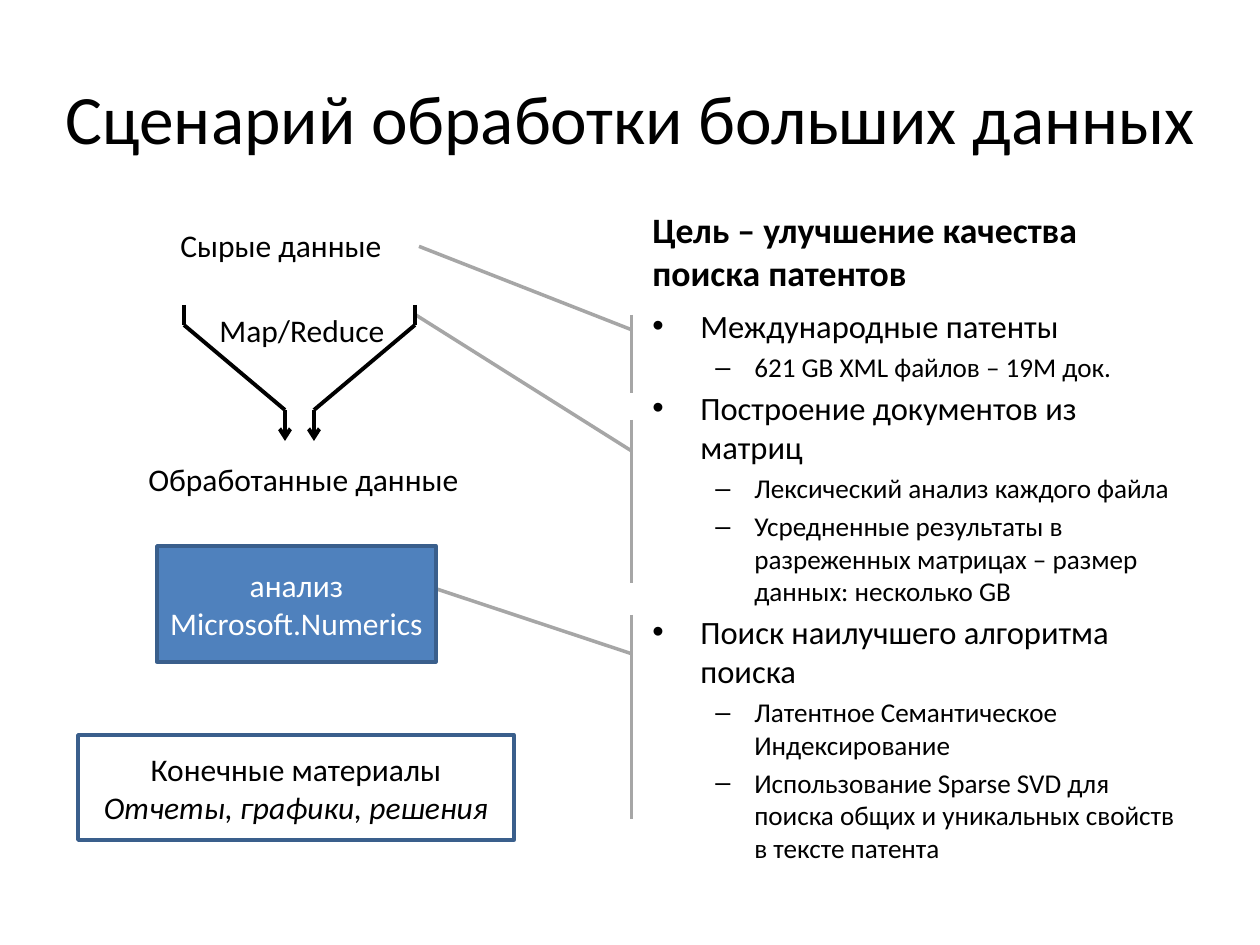
import dataclasses
import itertools
from typing import NamedTuple, Optional

import lxml.etree
import pptx
import pptx.dml.color
import pptx.enum.shapes
import pptx.enum.text
import pptx.oxml.ns
import pptx.util

EMU_PER_PX = 914400 / 126
ALIGN = pptx.enum.text.PP_ALIGN
ANCHOR = pptx.enum.text.MSO_ANCHOR
SHAPE = pptx.enum.shapes.MSO_SHAPE


@dataclasses.dataclass(frozen=True)
class Theme:
    font: str = "Calibri"
    ink: str = "000000"
    paper: str = "FFFFFF"
    accent: str = "4F81BD"
    outline: str = "3A5F8C"
    callout: str = "A6A6A6"
    title_size: float = 39.6
    heading_size: float = 20.4
    topic_size: float = 18.6
    detail_size: float = 15.5
    label_size: float = 18
    outline_width: float = 2
    arrow_width: float = 2.25


THEME = Theme()


class Area(NamedTuple):
    left: int
    top: int
    width: int
    height: int


class Bullet(NamedTuple):
    mark: str
    level: int
    indent: int
    hang: int
    size: float


class Line(NamedTuple):
    text: str
    size: float = THEME.label_size
    color: str = THEME.ink
    bold: Optional[bool] = None
    italic: Optional[bool] = None
    align: ALIGN = ALIGN.LEFT
    bullet: Optional[Bullet] = None


class TextBlock(NamedTuple):
    area: Area
    lines: list[Line]
    anchor: ANCHOR = ANCHOR.TOP
    wrap: bool = True


class Callout(NamedTuple):
    area: Area
    adjustments: tuple[float, ...]


class Panel(NamedTuple):
    area: Area
    fill: str
    lines: list[Line]


TOPIC = Bullet("•", 0, 48, 48, THEME.topic_size)
DETAIL = Bullet("–", 1, 102, 39, THEME.detail_size)

CALLOUTS = [
    Callout(Area(650, 315, 231, 78), (0.19, -0.08, -0.88, -1)),
    Callout(Area(650, 420, 231, 163), (0.19, -0.08, -0.65, -1.02)),
    Callout(Area(650, 615, 231, 204), (0.19, -0.08, -0.13, -0.93)),
]

PLAN = [
    (TOPIC, "Международные патенты"),
    (DETAIL, "621 GB XML файлов – 19M док."),
    (TOPIC, "Построение документов из матриц"),
    (DETAIL, "Лексический анализ каждого файла"),
    (DETAIL, "Усредненные результаты в разреженных матрицах – размер данных: несколько GB"),
    (TOPIC, "Поиск наилучшего алгоритма поиска"),
    (DETAIL, "Латентное Семантическое Индексирование"),
    (DETAIL, "Использование Sparse SVD для поиска общих и уникальных свойств в тексте патента"),
]

TEXT_BLOCKS = [
    TextBlock(Area(32, 38, 1197, 158),
              [Line("Сценарий обработки больших данных", THEME.title_size, align=ALIGN.CENTER)],
              ANCHOR.MIDDLE),
    TextBlock(Area(640, 212, 557, 88),
              [Line("Цель – улучшение качества поиска патентов", THEME.heading_size, bold=True)],
              ANCHOR.BOTTOM),
    TextBlock(Area(640, 300, 557, 544),
              [Line(text, bullet.size, bullet=bullet) for bullet, text in PLAN]),
    TextBlock(Area(168, 220, 229, 50), [Line("Сырые данные")], wrap=False),
    TextBlock(Area(136, 454, 339, 50), [Line("Обработанные данные")], wrap=False),
    TextBlock(Area(207, 305, 193, 50), [Line("Map/Reduce")], wrap=False),
]

FUNNEL_SIDES = [
    [(184, 305), (184, 325), (285, 410), (285, 441)],
    [(415, 305), (415, 325), (314, 410), (314, 441)],
]

PANELS = [
    Panel(Area(157, 546, 279, 116), THEME.accent,
          [Line(text, color=THEME.paper, align=ALIGN.CENTER)
           for text in ("анализ", "Microsoft.Numerics")]),
    Panel(Area(78, 735, 436, 105), THEME.paper,
          [Line("Конечные материалы", align=ALIGN.CENTER),
           Line("Отчеты, графики, решения", italic=True, align=ALIGN.CENTER)]),
]


def px(value: int) -> pptx.util.Emu:
    return pptx.util.Emu(round(value * EMU_PER_PX))


def rgb(value: str) -> pptx.dml.color.RGBColor:
    return pptx.dml.color.RGBColor.from_string(value)


def add_element(parent, tag: str, **attributes: str) -> None:
    lxml.etree.SubElement(parent, pptx.oxml.ns.qn(tag), attributes)


def apply_format(target, values: dict) -> None:
    for name, value in values.items():
        setattr(target, name, value)


def write_lines(frame, lines: list[Line]) -> None:
    for index, line in enumerate(lines):
        para = frame.add_paragraph() if index else frame.paragraphs[0]
        para.alignment = line.align
        if line.bullet:
            para.level = line.bullet.level
            para.space_before = pptx.util.Pt(3 if index else 0)
            properties = para._p.get_or_add_pPr()
            properties.set("marL", str(px(line.bullet.indent)))
            properties.set("indent", str(-px(line.bullet.hang)))
            add_element(properties, "a:buFont", typeface="Arial")
            add_element(properties, "a:buChar", char=line.bullet.mark)
        span = para.add_run()
        span.text = line.text
        apply_format(span.font, {
            "name": THEME.font, "size": pptx.util.Pt(line.size),
            "bold": line.bold, "italic": line.italic,
        })
        span.font.color.rgb = rgb(line.color)


def add_text(page, block: TextBlock) -> None:
    frame = page.shapes.add_textbox(*map(px, block.area)).text_frame
    apply_format(frame, {"word_wrap": block.wrap, "vertical_anchor": block.anchor})
    write_lines(frame, block.lines)


def add_outlined(page, kind: SHAPE, area: Area, fill: str, outline: str):
    shape = page.shapes.add_shape(kind, *map(px, area))
    shape.shadow.inherit = False
    shape.fill.solid()
    shape.fill.fore_color.rgb = rgb(fill)
    shape.line.color.rgb = rgb(outline)
    shape.line.width = pptx.util.Pt(THEME.outline_width)
    return shape


def add_callout(page, callout: Callout) -> None:
    shape = add_outlined(page, SHAPE.LINE_CALLOUT_1_ACCENT_BAR, callout.area,
                         THEME.paper, THEME.callout)
    for index, value in enumerate(callout.adjustments):
        shape.adjustments[index] = value


def add_panel(page, panel: Panel) -> None:
    shape = add_outlined(page, SHAPE.RECTANGLE, panel.area, panel.fill, THEME.outline)
    apply_format(shape.text_frame, {"word_wrap": True, "vertical_anchor": ANCHOR.MIDDLE})
    write_lines(shape.text_frame, panel.lines)


def add_funnel_side(page, points: list[tuple[int, int]]) -> None:
    """Join the points with straight lines and put an arrowhead on the last."""
    for start, end in itertools.pairwise(points):
        connector = page.shapes.add_connector(
            pptx.enum.shapes.MSO_CONNECTOR.STRAIGHT, *map(px, start + end))
        connector.line.color.rgb = rgb(THEME.ink)
        connector.line.width = pptx.util.Pt(THEME.arrow_width)
        if end == points[-1]:
            add_element(connector.line._get_or_add_ln(), "a:tailEnd", type="arrow")
        add_element(connector._element.spPr, "a:effectLst")


def main() -> None:
    deck = pptx.Presentation()
    apply_format(deck, {"slide_width": px(1260), "slide_height": px(945)})
    page = deck.slides.add_slide(deck.slide_layouts[6])
    for draw, items in (
        (add_callout, CALLOUTS),
        (add_text, TEXT_BLOCKS),
        (add_funnel_side, FUNNEL_SIDES),
        (add_panel, PANELS),
    ):
        for item in items:
            draw(page, item)
    deck.save("out.pptx")


if __name__ == "__main__":
    main()
